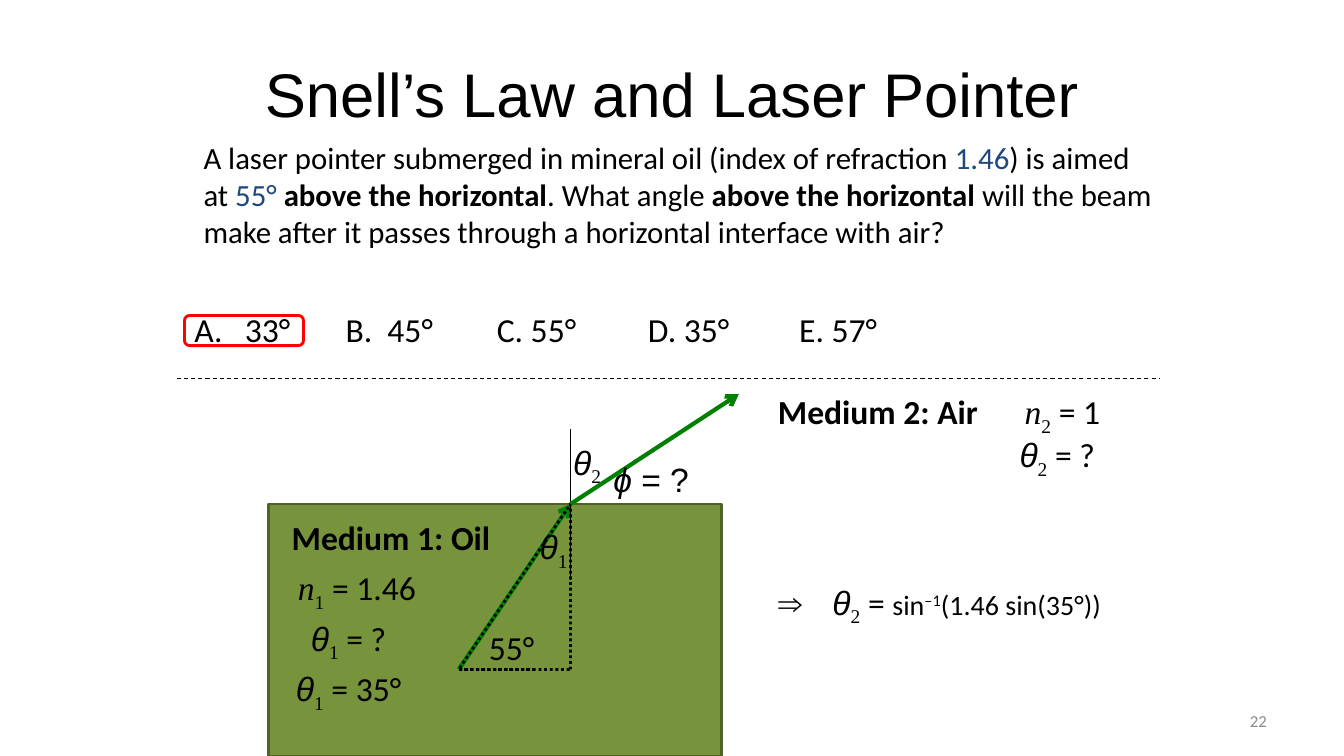
from dataclasses import dataclass, replace
from typing import Optional

from lxml.etree import SubElement
from pptx import Presentation
from pptx.dml.color import RGBColor
from pptx.enum.dml import MSO_LINE as Dash
from pptx.enum.shapes import MSO_CONNECTOR as Connector, MSO_SHAPE as Preset
from pptx.enum.text import MSO_ANCHOR as Anchor, MSO_AUTO_SIZE as AutoSize, PP_ALIGN as Align
from pptx.oxml.ns import qn
from pptx.util import Cm, Pt

BLACK, BLUE, GREEN, RED, GREY = "000000", "1F497D", "008000", "FF0000", "8C8C8C"
OIL_FILL, OIL_EDGE = "77933C", "4F6228"
SANS, SERIF, BODY = "Arial", "Times New Roman", "Calibri"
LINE_HEIGHT = 1.3
# Point where the beam leaves the oil, and the position of the laser pointer
EXIT_X, SURFACE_Y = 14.38, 12.7
LASER_X, LASER_Y = 11.56, 16.87


@dataclass(frozen=True)
class Run:
    text: str
    font: str = BODY
    size: int = 24
    color: str = BLACK
    bold: bool = False
    italic: bool = False
    baseline: int = 0


@dataclass(frozen=True)
class Label:
    left: float
    top: float
    width: float
    runs: list[Run]
    height: float = LINE_HEIGHT
    align: Align = Align.CENTER
    anchor: Anchor = Anchor.TOP
    margin: float = 0
    hanging: float = 0
    numbering: Optional[str] = None


@dataclass(frozen=True)
class Segment:
    start: tuple[float, float]
    end: tuple[float, float]
    color: str = BLACK
    weight: float = 0.75
    dash: Optional[Dash] = None
    arrow: bool = False


@dataclass(frozen=True)
class Outline:
    preset: Preset
    box: tuple[float, float, float, float]
    color: str
    fill: Optional[str] = None
    dash: Optional[Dash] = None
    flipped: bool = False


def rgb(color: str) -> RGBColor:
    return RGBColor.from_string(color)


def subscripted(letter: str, index: str, rest: str = "", font: str = SANS) -> list[Run]:
    runs = [Run(letter, font, italic=True), Run(index, SERIF, baseline=-25)]
    return runs + [Run(rest)] if rest else runs


def write_runs(paragraph, runs: list[Run]) -> None:
    for item in runs:
        run = paragraph.add_run()
        run.text = item.text
        font = run.font
        font.name, font.size = item.font, Pt(item.size)
        font.bold, font.italic = item.bold, item.italic
        font.color.rgb = rgb(item.color)
        if item.baseline:
            run._r.get_or_add_rPr().set("baseline", str(item.baseline * 1000))


def draw_label(slide, label: Label) -> None:
    box = slide.shapes.add_textbox(
        Cm(label.left), Cm(label.top), Cm(label.width), Cm(label.height))
    frame = box.text_frame
    frame.word_wrap = True
    frame.auto_size = AutoSize.SHAPE_TO_FIT_TEXT
    frame.vertical_anchor = label.anchor
    paragraph = frame.paragraphs[0]
    paragraph.alignment = label.align
    if label.hanging:
        properties = paragraph._p.get_or_add_pPr()
        properties.set("marL", str(Cm(label.margin)))
        properties.set("indent", str(-Cm(label.hanging)))
        if label.numbering:
            SubElement(properties, qn("a:buAutoNum"), type=label.numbering)
    write_runs(paragraph, label.runs)


def draw_segment(slide, segment: Segment) -> None:
    points = [Cm(value) for value in segment.start + segment.end]
    connector = slide.shapes.add_connector(Connector.STRAIGHT, *points)
    line = connector.line
    line.color.rgb = rgb(segment.color)
    line.width = Pt(segment.weight)
    if segment.dash is not None:
        line.dash_style = segment.dash
    if segment.arrow:
        SubElement(line._get_or_add_ln(), qn("a:tailEnd"), type="arrow")
    SubElement(connector._element.spPr, qn("a:effectLst"))


def draw_outline(slide, outline: Outline) -> None:
    shape = slide.shapes.add_shape(outline.preset, *(Cm(value) for value in outline.box))
    shape.shadow.inherit = False
    if outline.fill:
        shape.fill.solid()
        shape.fill.fore_color.rgb = rgb(outline.fill)
    else:
        shape.fill.background()
    shape.line.color.rgb = rgb(outline.color)
    shape.line.width = Pt(2)
    if outline.dash is not None:
        shape.line.dash_style = outline.dash
    if outline.flipped:
        shape._element.spPr.xfrm.set("flipH", "1")


QUESTION = [
    Run("A laser pointer submerged in mineral oil (index of refraction "),
    Run("1.46", color=BLUE),
    Run(") is aimed at "),
    Run("55° ", color=BLUE),
    Run("above the horizontal", bold=True),
    Run(". What angle "),
    Run("above the horizontal ", bold=True),
    Run("will the beam make after it passes through a horizontal interface with air?"),
]
SOLUTION = [Run("⇒\t", SANS)] + subscripted("θ", "2", " = ") + [
    Run("sin", size=20), Run("–1", size=20, baseline=30), Run("(1.46 sin(35°))", size=20)]

# Everything below the title, from back to front
ELEMENTS = [
    # Oil and laser beam
    Outline(Preset.RECTANGLE, (6.76, SURFACE_Y, 11.43, 6.35), OIL_EDGE, OIL_FILL),
    Label(11.84, 15.67, 2.11, [Run("55°")]),
    Segment((LASER_X, LASER_Y), (EXIT_X, SURFACE_Y), GREEN, 3, arrow=True),
    Segment((LASER_X, LASER_Y), (13.46, LASER_Y), weight=2, dash=Dash.ROUND_DOT),
    # Question
    Label(4.88, 3.38, 24.56, [replace(run, size=22) for run in QUESTION], 3.07, Align.LEFT),
    # Air
    Label(17.78, 9.73, 8.69, [Run("Medium 2: Air", bold=True)]),
    Label(24.77, 9.73, 4.01, subscripted("n", "2", " = 1", SERIF)),
    Label(24.64, 10.82, 4.01, subscripted("θ", "2", " = ?")),
    # Normal and angles
    Segment((EXIT_X, 14.61), (EXIT_X, 10.8)),
    Label(12.9, 13.13, 2.11, subscripted("θ", "1")),
    Outline(Preset.RIGHT_TRIANGLE,
            (LASER_X, SURFACE_Y, EXIT_X - LASER_X, LASER_Y - SURFACE_Y),
            BLACK, dash=Dash.ROUND_DOT, flipped=True),
    Label(13.74, 11, 2.11, subscripted("θ", "2")),
    # Oil values
    Label(5.51, 12.9, 8.69, [Run("Medium 1: Oil", bold=True)]),
    Label(6.99, 14.17, 4.01, subscripted("n", "1", " = 1.46", SERIF)),
    Label(6.78, 15.44, 4.01, subscripted("θ", "1", " = ?")),
    # Refracted beam
    Segment((EXIT_X, SURFACE_Y), (18.62, 9.93), GREEN, 3, arrow=True),
    Label(15.04, 11.43, 2.74, [Run("ϕ ", SANS, italic=True), Run("= ?", SANS)]),
    # Solution
    Label(6.78, 16.71, 4.01, subscripted("θ", "1", " = 35°")),
    Label(18.42, 14.53, 10.59, SOLUTION, align=Align.LEFT, margin=2.31, hanging=1.37),
    # Answers
    Label(4.65, 7.67, 24.13, [Run("33°\t\tB.  45°\t\tC. 55°\t\tD. 35°\t\tE. 57°")],
          align=Align.LEFT, margin=1.27, hanging=1.27, numbering="alphaUcPeriod"),
    Outline(Preset.ROUNDED_RECTANGLE, (4.65, 7.95, 3, 0.76), RED),
    # Slide number and divider
    Label(24.28, 17.65, 7.9, [Run("22", size=12, color=GREY)], 1.02, Align.RIGHT, Anchor.MIDDLE),
    Segment((4.45, 9.53), (29.21, 9.53), dash=Dash.DASH),
]


def main() -> None:
    presentation = Presentation()
    presentation.slide_width, presentation.slide_height = Cm(33.87), Cm(19.05)
    slide = presentation.slides.add_slide(presentation.slide_layouts[5])

    title = slide.shapes.title
    title.left, title.top, title.width, title.height = Cm(1.7), Cm(0.76), Cm(30.48), Cm(3.18)
    title.text_frame.vertical_anchor = Anchor.MIDDLE
    paragraph = title.text_frame.paragraphs[0]
    paragraph.alignment = Align.CENTER
    write_runs(paragraph, [Run("Snell’s Law and Laser Pointer", SANS, 44)])

    painters = {Label: draw_label, Segment: draw_segment, Outline: draw_outline}
    for element in ELEMENTS:
        painters[type(element)](slide, element)
    presentation.save("out.pptx")


if __name__ == "__main__":
    main()
